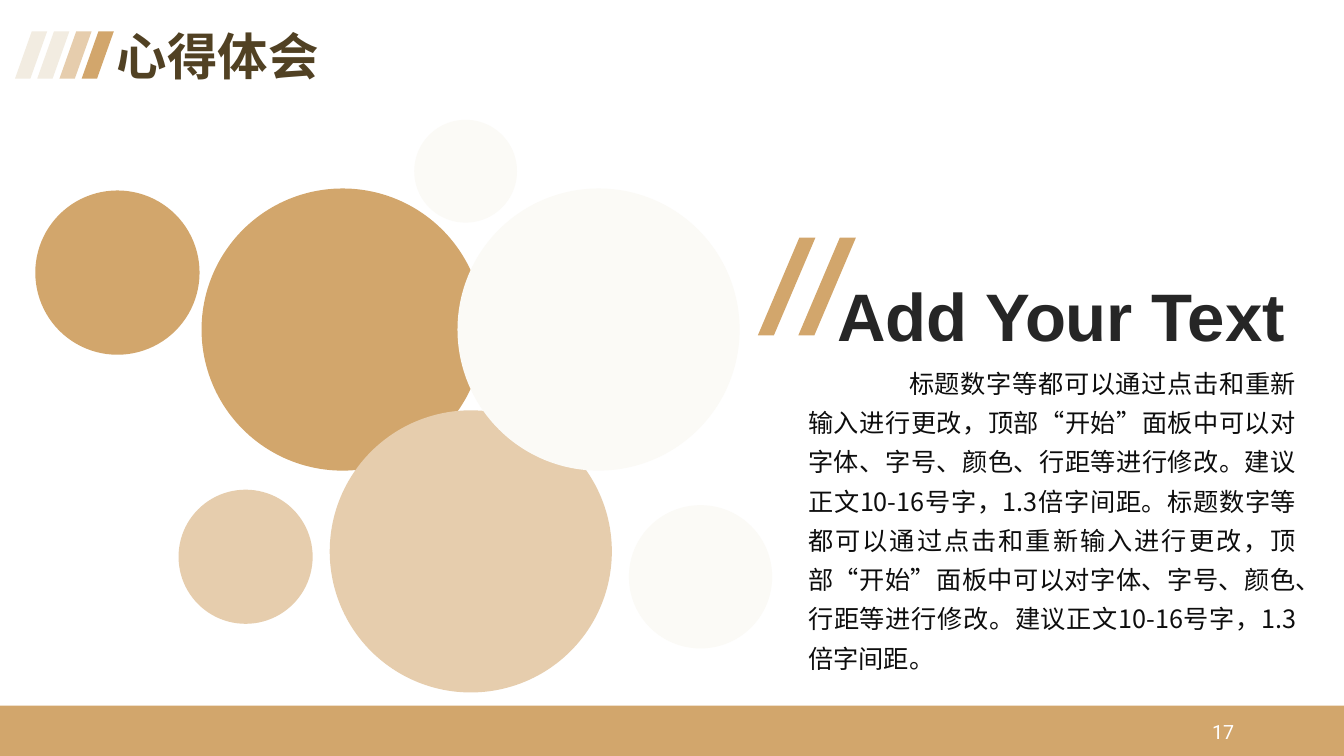
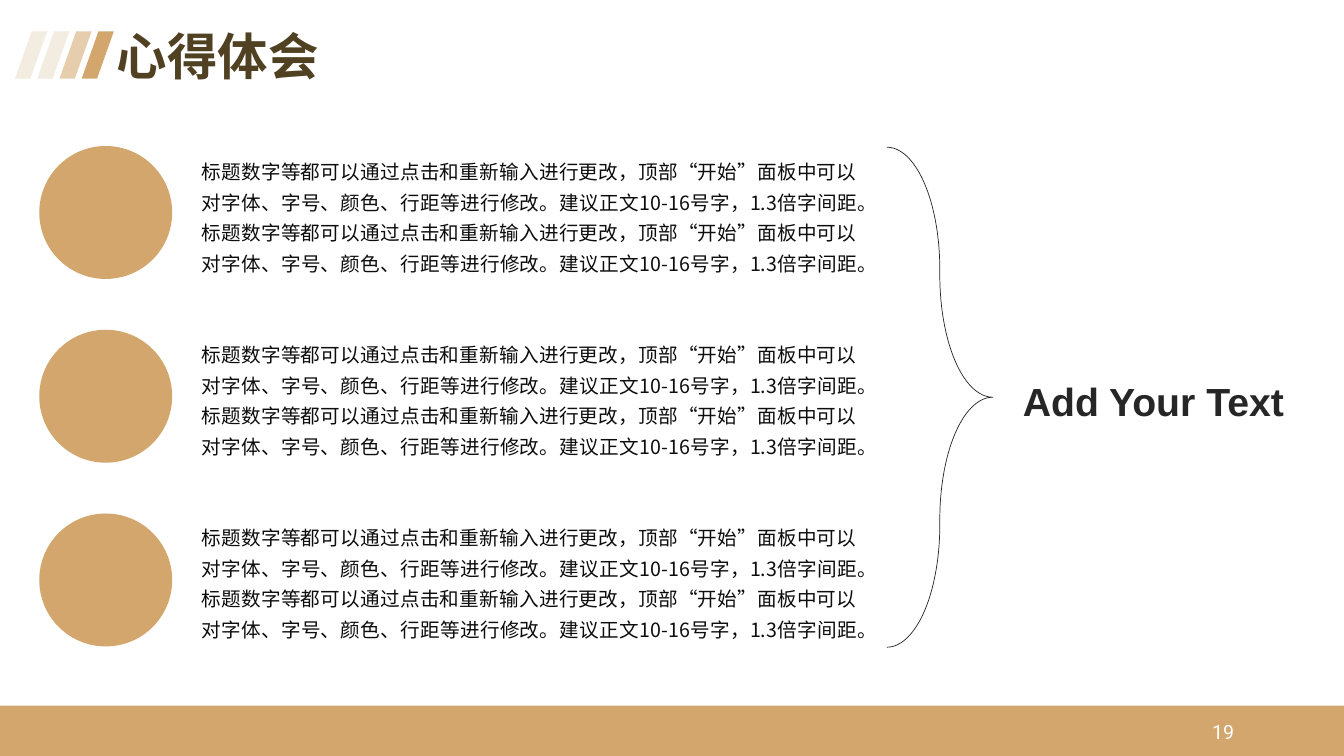
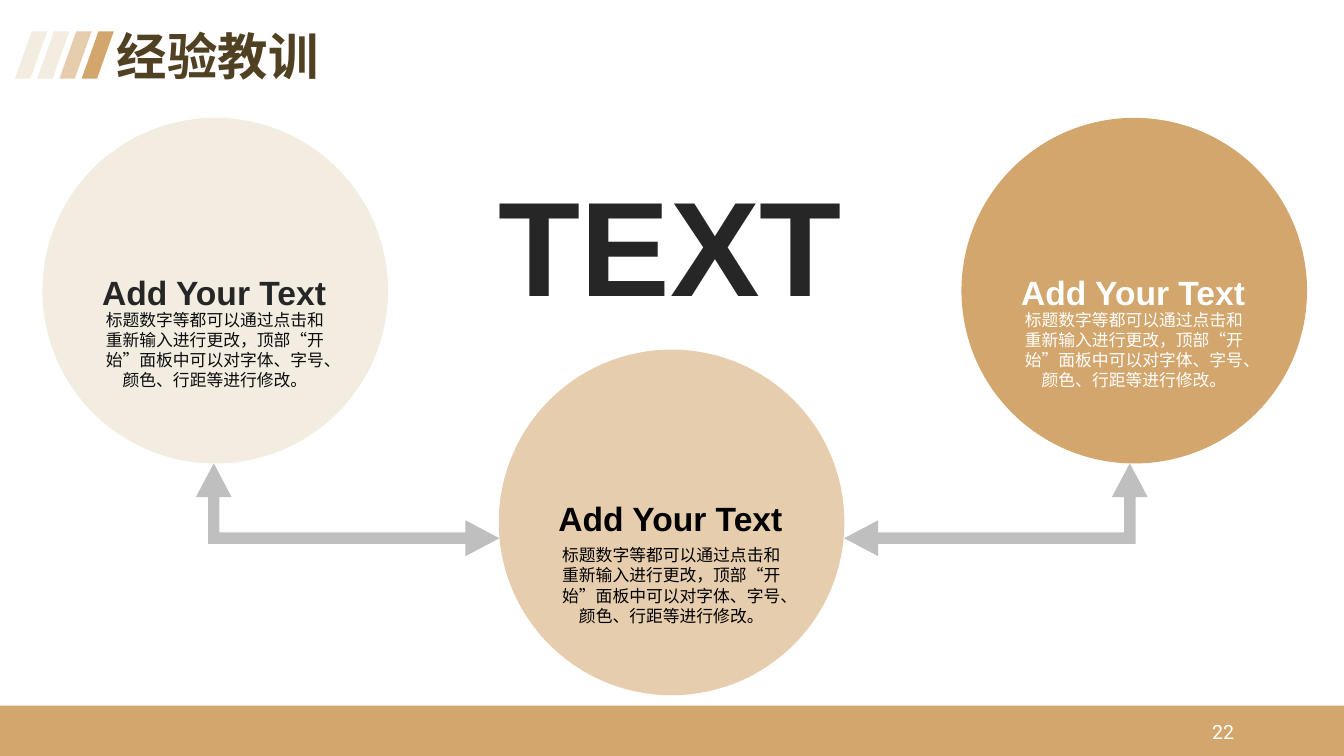
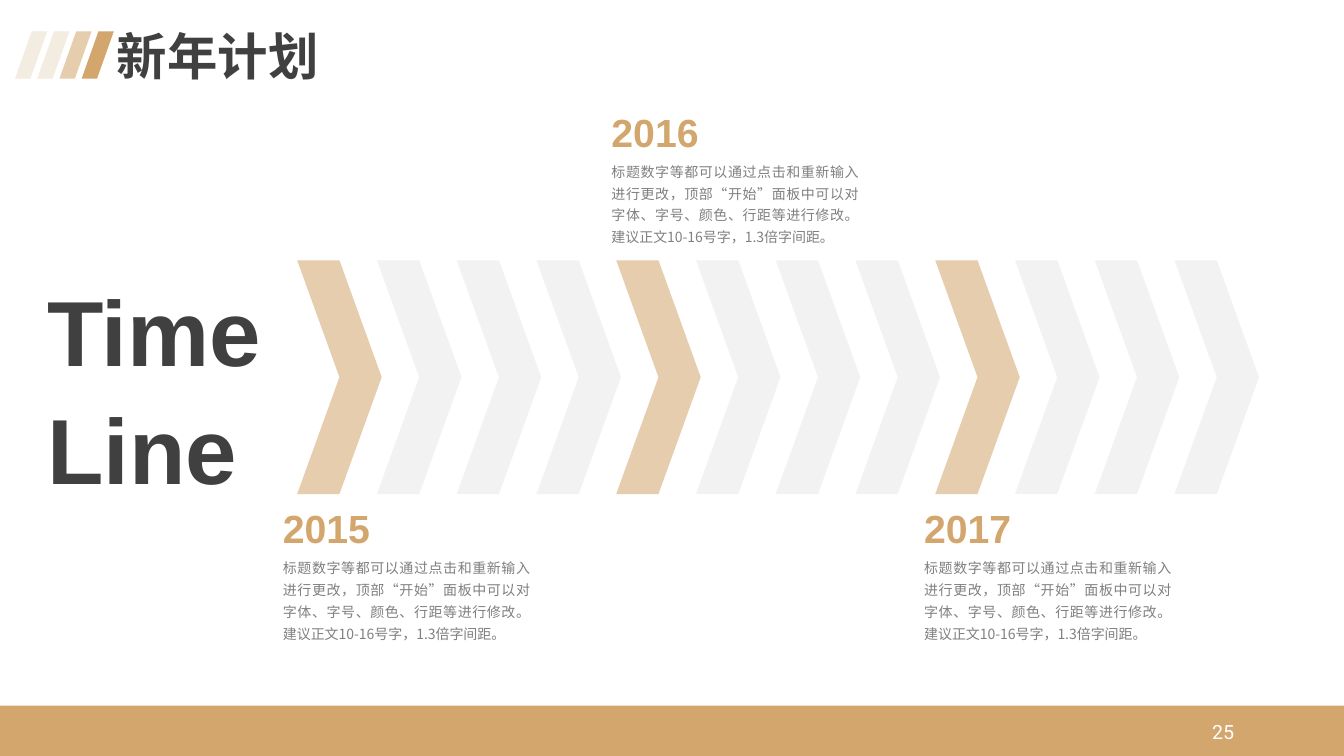
from dataclasses import dataclass

from lxml import etree
from pptx import Presentation
from pptx.dml.color import RGBColor
from pptx.enum.shapes import MSO_SHAPE
from pptx.enum.text import MSO_ANCHOR, PP_ALIGN
from pptx.oxml.ns import qn
from pptx.util import Cm, Pt

ELLIPSE = MSO_SHAPE.OVAL
SLANT = MSO_SHAPE.PARALLELOGRAM
LEFT, CENTER, JUSTIFY = PP_ALIGN.LEFT, PP_ALIGN.CENTER, PP_ALIGN.JUSTIFY


@dataclass(frozen=True)
class Theme:
    gold: str = "D2A66C"
    sand: str = "E6CDAD"
    cream: str = "F2ECE1"
    ivory: str = "FBFAF6"
    brown: str = "514123"
    dark: str = "262626"
    charcoal: str = "404040"
    ink: str = "0D0D0D"
    black: str = "000000"
    grey: str = "808080"
    silver: str = "BFBFBF"
    mist: str = "F2F2F2"
    white: str = "FFFFFF"
    heading_font: str = "Arial"
    body_font: str = "Noto Sans CJK SC"
    number_font: str = "Roboto"
    giant: int = 96
    display: int = 66
    large: int = 48
    title: int = 36
    heading: int = 28
    subheading: int = 24
    lead: int = 18
    body: int = 14
    note: int = 12
    caption: int = 10
    heading_spacing: float = 1.07
    body_spacing: float = 1.3


THEME = Theme()


def add_shape(slide, kind, box, fill, adjustments=()):
    """Add a flat shape; box is left, top, width and height in centimetres."""
    shape = slide.shapes.add_shape(kind, *map(Cm, box))
    shape.shadow.inherit = False
    shape.line.fill.background()
    shape.fill.solid()
    shape.fill.fore_color.rgb = RGBColor.from_string(fill)
    for index, value in enumerate(adjustments):
        shape.adjustments[index] = value
    return shape


def add_text(slide, text, box, size, colour, alignment=LEFT, spacing=None,
             font=THEME.body_font, bold=False):
    """Add text in one style; box is left, top, width and height in centimetres."""
    frame = slide.shapes.add_textbox(*map(Cm, box)).text_frame
    frame.word_wrap = True
    frame.text = text
    for paragraph in frame.paragraphs:
        paragraph.alignment = alignment
        paragraph.line_spacing = spacing
        paragraph.font.name = font
        paragraph.font.size = Pt(size)
        paragraph.font.bold = bold
        paragraph.font.color.rgb = RGBColor.from_string(colour)
        defaults = paragraph._p.pPr.find(qn("a:defRPr"))
        etree.SubElement(defaults, qn("a:ea"), typeface=THEME.body_font)
    return frame


HEADING = {"font": THEME.heading_font, "bold": True, "spacing": THEME.heading_spacing}
BODY = {"alignment": JUSTIFY, "spacing": THEME.body_spacing}

SHORT_TEXT = "标题数字等都可以通过点击和重新输入进行更改，顶部“开始”面板中可以对字体、字号、颜色、行距等进行修改。"
NOTE_TEXT = SHORT_TEXT + "建议正文10-16号字，1.3倍字间距。"
LONG_TEXT = NOTE_TEXT * 2
PROMPT = "Add Your Text"

presentation = Presentation()
presentation.slide_width = Cm(33.87)
presentation.slide_height = Cm(19.05)

# Slides with their titles and page numbers
layout = presentation.slide_layouts[5]
layout_title = layout.placeholders[0]
layout_title.left, layout_title.top = Cm(2.69), Cm(0.69)
layout_title.width, layout_title.height = Cm(7.47), Cm(1.65)

slides = []
for title, number, colour in [
    ("心得体会", "17", THEME.brown),
    ("心得体会", "19", THEME.brown),
    ("经验教训", "22", THEME.brown),
    ("新年计划", "25", THEME.charcoal),
]:
    slide = presentation.slides.add_slide(layout)
    frame = slide.shapes.title.text_frame
    frame.text = title
    frame.vertical_anchor = MSO_ANCHOR.TOP
    paragraph = frame.paragraphs[0]
    paragraph.alignment = LEFT
    paragraph.line_spacing = 0.9
    paragraph.font.name = THEME.heading_font
    paragraph.font.size = Pt(THEME.title)
    paragraph.font.bold = True
    paragraph.font.color.rgb = RGBColor.from_string(colour)
    slides.append(slide)
bubbles, brace, cycle, timeline = slides

# Footer band and title stripes: drawn once, then moved to the layout
shared = [add_shape(bubbles, MSO_SHAPE.RECTANGLE, (0, 17.78, 33.87, 1.27), THEME.gold)]
for index, fill in enumerate([THEME.cream, THEME.cream, THEME.sand, THEME.gold]):
    box = (0.38 + 0.56 * index, 0.79, 0.81, 1.19)
    shared.append(add_shape(bubbles, SLANT, box, fill, [0.522]))
for shape_id, shape in enumerate(shared, start=20):
    shape.element.nvSpPr.cNvPr.set("id", str(shape_id))
    layout.shapes.element.append(shape.element)

for slide, number in zip(slides, ["17", "19", "22", "25"]):
    add_text(slide, number, (30.3, 18.01, 1.5, 1.04), THEME.body, THEME.white,
             font=THEME.number_font)

# Bubbles beside a paragraph
for left, top, diameter, fill in [
    (0.89, 4.8, 4.14, THEME.gold),
    (5.08, 4.75, 7.11, THEME.gold),
    (8.31, 10.34, 7.11, THEME.sand),
    (11.53, 4.75, 7.11, THEME.ivory),
    (15.85, 12.73, 3.61, THEME.ivory),
    (10.44, 3.02, 2.59, THEME.ivory),
    (4.5, 12.34, 3.38, THEME.sand),
]:
    add_shape(bubbles, ELLIPSE, (left, top, diameter, diameter), fill)
for left in (19.1, 20.12):
    add_shape(bubbles, SLANT, (left, 5.99, 1.45, 2.46), THEME.gold, [0.721])
add_text(bubbles, PROMPT, (20.85, 6.65, 11.94, 2.31), THEME.large, THEME.dark, **HEADING)
frame = add_text(bubbles, LONG_TEXT, (20.12, 8.92, 12.8, 8.26), THEME.lead, THEME.ink, **BODY)
frame.paragraphs[0]._p.pPr.set("indent", str(Cm(2.54)))

# Three points joined by a brace
for row in range(3):
    add_shape(brace, ELLIPSE, (0.99, 3.68 + 4.63 * row, 3.35, 3.35), THEME.gold)
    add_text(brace, LONG_TEXT, (4.83, 3.73 + 4.61 * row, 17.02, 3.38),
             THEME.body, THEME.ink, **BODY)
right_brace = add_shape(brace, MSO_SHAPE.RIGHT_BRACE, (22.35, 3.71, 2.67, 12.6),
                        THEME.white, [1.153, 0.5])
right_brace.fill.background()
right_brace.line.color.rgb = RGBColor.from_string(THEME.dark)
right_brace.line.width = Pt(0.5)
add_text(brace, PROMPT, (25.53, 9.3, 7.16, 1.45), THEME.heading, THEME.dark, **HEADING)

# Three circles linked by bent arrows
for left, rotation, flipped in [(7.59, 90, "0"), (23.93, 270, "1")]:
    arrow = add_shape(cycle, MSO_SHAPE.LEFT_UP_ARROW, (left, 9.02, 2.34, 7.65),
                      THEME.silver, [0.123, 0.193, 0.365])
    arrow.rotation = rotation
    arrow.element.spPr.find(qn("a:xfrm")).set("flipH", flipped)
for left, top, heading_top, text_top, fill, heading_colour, text_colour in [
    (1.07, 2.97, 6.65, 7.67, THEME.cream, THEME.dark, THEME.ink),
    (24.23, 2.97, 6.65, 7.67, THEME.gold, THEME.white, THEME.white),
    (12.57, 8.81, 12.34, 13.61, THEME.sand, THEME.black, THEME.black),
]:
    add_shape(cycle, ELLIPSE, (left, top, 8.71, 8.71), fill)
    add_text(cycle, SHORT_TEXT, (left + 1.25, text_top, 6.2, 2.31), THEME.note,
             text_colour, CENTER)
    add_text(cycle, PROMPT, (left + 1.15, heading_top, 6.35, 1.27), THEME.subheading,
             heading_colour, CENTER, **HEADING)
add_text(cycle, "TEXT", (12.32, 3.68, 9.25, 4.37), THEME.giant, THEME.dark, **HEADING)

# Timeline of chevrons, one highlighted per year
add_text(timeline, "Time\nLine", (0.94, 6.58, 5.97, 5.89), THEME.display, THEME.charcoal,
         **HEADING)
for index in range(12):
    add_shape(timeline, MSO_SHAPE.CHEVRON, (7.49 + 2.01 * index, 6.56, 2.13, 5.89),
              THEME.mist if index % 4 else THEME.sand)
for year, left, top in [("2015", 6.88, 12.5), ("2016", 15.16, 2.51), ("2017", 23.04, 12.5)]:
    add_text(timeline, year, (left, top, 2.74, 1.45), THEME.heading, THEME.gold, **HEADING)
    add_text(timeline, NOTE_TEXT, (left, top + 1.35, 6.73, 2.49), THEME.caption,
             THEME.grey, **BODY)

presentation.save("out.pptx")
